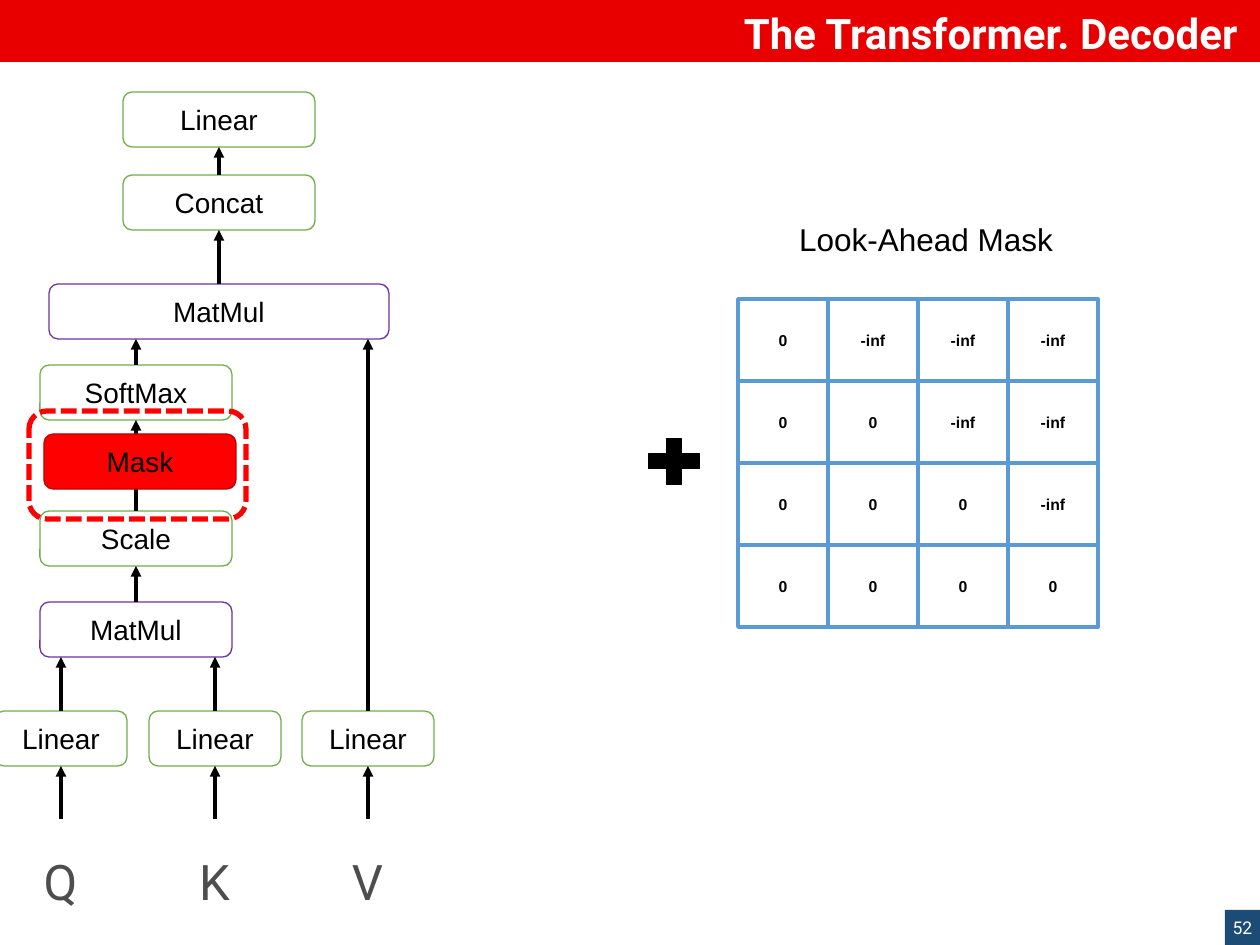
from lxml import etree
from pptx import Presentation, util as u
from pptx.dml.color import RGBColor
from pptx.enum import dml, shapes, text
from pptx.oxml import ns

PX = 914400 / 126
BOX_H = 55
COLORS = {
    "header": "E80000", "page": "1C4C76", "white": "FFFFFF", "black": "000000",
    "letter": "4D4D4D", "green": "70AD47", "purple": "7030A0",
    "mask": "FF0000", "mask_edge": "C00000", "grid": "5B9BD5",
}
MASK_ROWS = [
    ["0", "-inf", "-inf", "-inf"],
    ["0", "0", "-inf", "-inf"],
    ["0", "0", "0", "-inf"],
    ["0", "0", "0", "0"],
]


def px(*lengths):
    """Turn pixel lengths into EMU."""
    return [u.Emu(round(length * PX)) for length in lengths]


def rgb(name):
    """Look up a named colour."""
    return RGBColor.from_string(COLORS[name])


def write(shape, words, size=16, font="Arial", color="black", bold=False,
          align="CENTER", anchor="MIDDLE", inset=None):
    """Put formatted text into a shape."""
    frame = shape.text_frame
    frame.word_wrap = True
    frame.vertical_anchor = getattr(text.MSO_ANCHOR, anchor)
    if inset is not None:
        frame.margin_left, frame.margin_top, frame.margin_right, frame.margin_bottom = px(*[inset] * 4)
    paragraph = frame.paragraphs[0]
    paragraph.alignment = getattr(text.PP_ALIGN, align)
    run = paragraph.add_run()
    run.text = words
    run.font.size, run.font.name, run.font.bold = u.Pt(size), font, bold
    run.font.color.rgb = rgb(color)


def label(slide, box, words, **style):
    """Add a text box."""
    write(slide.shapes.add_textbox(*px(*box)), words, **style)


def block(slide, box, kind="RECTANGLE", fill=None, line=None, width=0.75):
    """Add a preset shape with the given fill and outline."""
    shape = slide.shapes.add_shape(getattr(shapes.MSO_SHAPE, kind), *px(*box))
    shape.shadow.inherit = False
    if fill:
        shape.fill.solid()
        shape.fill.fore_color.rgb = rgb(fill)
    else:
        shape.fill.background()
    if line:
        shape.line.color.rgb = rgb(line)
        shape.line.width = u.Pt(width)
    else:
        shape.line.fill.background()
    return shape


def arrow(slide, start, end, source=None, target=None):
    """Draw an upward arrow, joined to a source's top and a target's bottom."""
    link = slide.shapes.add_connector(shapes.MSO_CONNECTOR.STRAIGHT, *px(*start, *end))
    if source is not None:
        link.begin_connect(source, 0)
    if target is not None:
        link.end_connect(target, 2)
    link.line.color.rgb = rgb("black")
    link.line.width = u.Pt(2)
    etree.SubElement(link.line._get_or_add_ln(), ns.qn("a:tailEnd"), type="triangle")
    etree.SubElement(link._element.spPr, ns.qn("a:effectLst"))


def header(slide, left, top, width, height):
    """Draw the title band."""
    block(slide, (left, top, width, height), fill="header")
    label(slide, (left + 179, top + 12, width - 189, 43), "The Transformer. Decoder",
          size=24, font="Roboto", color="white", bold=True, align="RIGHT")


def page_number(slide, left, top, side):
    """Draw the page number square."""
    square = block(slide, (left, top, side, side), fill="page")
    write(square, "52", size=10, font="Roboto", color="white", inset=5)


def attention(slide, left, top):
    """Draw the masked attention stack with its three inputs."""
    def layer(words, x, y, width=192, line="green", fill=None):
        """Add one layer of the stack."""
        shape = block(slide, (left + x, top + y, width, BOX_H),
                      "ROUNDED_RECTANGLE", fill, line)
        write(shape, words)
        return shape

    def rise(x, y_from, y_to, source=None, target=None):
        """Add a vertical arrow of the stack."""
        arrow(slide, (left + x, top + y_from), (left + x, top + y_to), source, target)

    output = layer("Linear", 128, 0)
    concat = layer("Concat", 128, 83)
    weighted = layer("MatMul", 54, 192, 340, "purple")
    softmax = layer("SoftMax", 45, 273)
    scale = layer("Scale", 45, 419)
    scores = layer("MatMul", 45, 510, line="purple")

    rise(224, 83, BOX_H, concat, output)
    rise(224, 192, 83 + BOX_H, weighted, concat)
    rise(141, 273, 192 + BOX_H, softmax)
    rise(141, 419, 273 + BOX_H, scale, softmax)
    rise(141, 510, 419 + BOX_H, scores, scale)

    inputs = [("Q", 0, 510), ("K", 154, 510), ("V", 307, 192)]
    for letter, x, target_y in inputs:
        projection = layer("Linear", x, 619, 132)
        middle = x + 66
        rise(middle, 619, target_y + BOX_H, projection)
        rise(middle, 727, 619 + BOX_H, target=projection)
        label(slide, (left + middle - 32, top + 760, 63, 58), letter,
              size=28, font="Roboto", color="letter")

    highlight = block(slide, (left + 34, top + 319, 217, 108),
                      "ROUNDED_RECTANGLE", line="mask", width=3)
    highlight.line.dash_style = dml.MSO_LINE.SQUARE_DOT
    highlight.line._get_or_add_ln().find(ns.qn("a:prstDash")).set("val", "sysDash")
    layer("Mask", 49, 342, line="mask_edge", fill="mask")


def look_ahead_mask(slide, left, top, cell_w, cell_h):
    """Draw the added mask matrix with its caption and plus sign."""
    for row, values in enumerate(MASK_ROWS):
        for column, value in enumerate(values):
            cell = block(slide, (left + column * cell_w, top + row * cell_h, cell_w, cell_h),
                         fill="white", line="grid", width=2)
            write(cell, value, size=9, bold=True)
    label(slide, (left - 24, top - 85, 424, 50), "Look-Ahead Mask", size=18, anchor="TOP")
    block(slide, (left - 99, top + 131, 70, 63), "MATH_PLUS", "black", "black")


def main():
    """Build and save the slide."""
    deck = Presentation()
    deck.slide_width, deck.slide_height = px(1260, 945)
    slide = deck.slides.add_slide(deck.slide_layouts[6])
    header(slide, 0, -1, 1260, 63)
    page_number(slide, 1225, 910, 35)
    attention(slide, -5, 92)
    look_ahead_mask(slide, 738, 299, 90, 82)
    deck.save("out.pptx")


if __name__ == "__main__":
    main()
